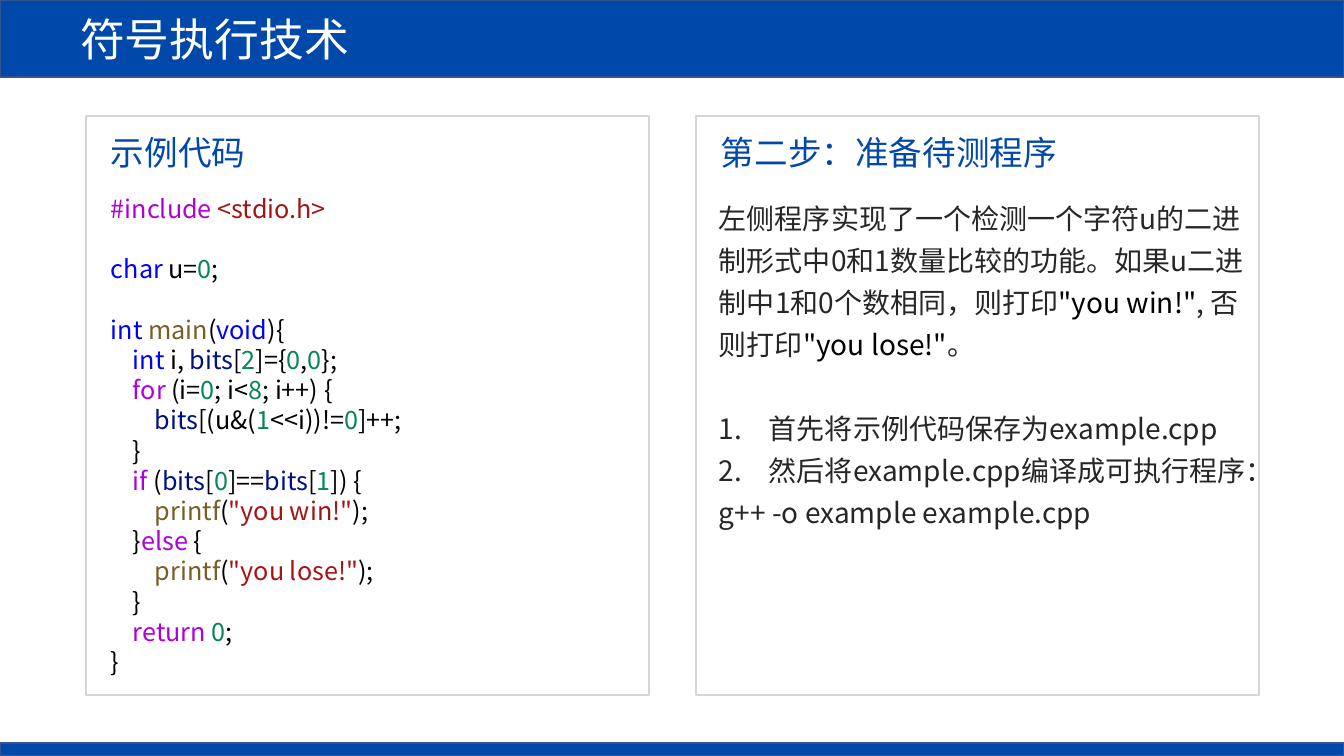
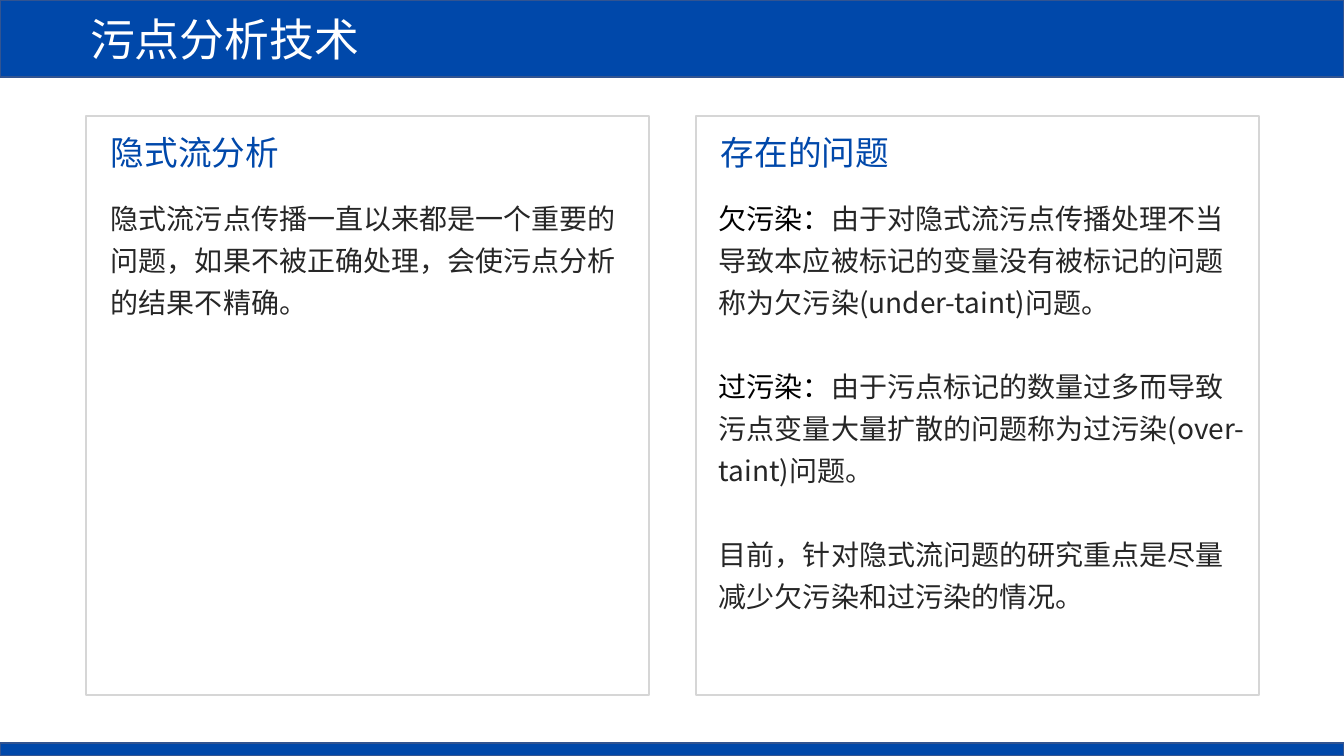
"""Build two slides on symbolic execution and taint analysis."""
from dataclasses import dataclass

from lxml import etree
from pptx import Presentation
from pptx import util as u
from pptx.dml.color import RGBColor
from pptx.enum import shapes, text
from pptx.oxml.ns import qn

PX = 914400 / 100.8
WIDTH, HEIGHT = 1344, 756
CARD_TOP, CARD_WIDTH, CARD_HEIGHT = 116, 563, 579
LEFT_CARD, RIGHT_CARD = 86, 696
BODY_TOP = 188


@dataclass(frozen=True)
class Theme:
    font: str = "Noto Sans CJK SC"
    blue: str = "0048AA"
    band_line: str = "325491"
    card_line: str = "D6D6D6"
    white: str = "FFFFFF"
    black: str = "000000"
    ink: str = "262626"
    control: str = "AF00DB"
    literal: str = "A31515"
    kind: str = "0000FF"
    number: str = "098658"
    function: str = "795E26"
    variable: str = "001080"
    title_size: int = 32
    heading_size: int = 24
    body_size: int = 20
    code_size: int = 18
    single: float = 1.2
    loose: float = 1.5


THEME = Theme()
TOKEN_GROUPS = {
    THEME.control: ("#include", "for", "if", "else", "return"),
    THEME.literal: ("<stdio.h>", '"you win!"', '"you lose!"'),
    THEME.kind: ("char", "int", "void"),
    THEME.number: ("0", "1", "2", "8"),
    THEME.function: ("main", "printf"),
    THEME.variable: ("bits",),
}
TOKEN_COLORS = {token: color for color, tokens in TOKEN_GROUPS.items() for token in tokens}

CODE = [
    (0, "#include |<stdio.h>", False),
    (0, "char| u=|0|;", True),
    (0, "int |main|(|void|){", True),
    (1, "int |i, |bits|[|2|]={|0|,|0|};", False),
    (1, "for| (i=|0|; i<|8|; i++) {", False),
    (2, "bits|[(u&(|1|<<i))!=|0|]++;", False),
    (1, "}", False),
    (1, "if| (|bits|[|0|]==|bits|[|1|]) {", False),
    (2, 'printf|(|"you win!"|);', False),
    (1, "}|else| {", False),
    (2, 'printf|(|"you lose!"|);', False),
    (1, "}", False),
    (1, "return |0|;", False),
    (0, "}", False),
]


def px(length):
    return u.Emu(round(length * PX))


class SlideBuilder:
    """Hold the theme and the current slide, and draw each kind of element."""

    def __init__(self, deck, theme):
        self.deck, self.theme, self.page = deck, theme, None

    def paint(self, shape, fill, line):
        if fill:
            shape.fill.solid()
            shape.fill.fore_color.rgb = RGBColor.from_string(fill)
        else:
            shape.fill.background()
        shape.line.color.rgb = RGBColor.from_string(line)
        shape.line.width = u.Pt(1)

    def rectangle(self, left, top, width, height, fill, line):
        shape = self.page.shapes.add_shape(
            shapes.MSO_SHAPE.RECTANGLE, px(left), px(top), px(width), px(height))
        shape.shadow.inherit = False
        self.paint(shape, fill, line)

    def start(self, title, indent):
        theme = self.theme
        self.page = self.deck.slides.add_slide(self.deck.slide_layouts[5])
        band = self.page.shapes.title
        band.left, band.top, band.width, band.height = px(0), px(0), px(WIDTH), px(77)
        self.paint(band, theme.blue, theme.band_line)
        frame = band.text_frame
        frame.auto_size = text.MSO_AUTO_SIZE.NONE
        frame.vertical_anchor = text.MSO_ANCHOR.MIDDLE
        frame.margin_left = px(indent)
        self.add_runs(frame.paragraphs[0], [(title, theme.white)], theme.title_size, theme.single)
        self.rectangle(0, 743, WIDTH, 13, theme.blue, theme.band_line)

    def add_runs(self, para, runs, size, spacing, gap=False):
        para.alignment = text.PP_ALIGN.LEFT
        para.line_spacing = u.Pt(size * spacing)
        para.space_before = u.Pt(size * spacing if gap else 0)
        for words, color in runs:
            span = para.add_run()
            span.text = words
            span.font.size = u.Pt(size)
            span.font.name = self.theme.font
            span.font.color.rgb = RGBColor.from_string(color)
            span.font._element.find(qn("a:latin")).addnext(
                etree.Element(qn("a:ea"), typeface=self.theme.font))

    def indent(self, para, left, hanging=0):
        properties = para._p.get_or_add_pPr()
        properties.set("marL", str(px(left)))
        properties.set("indent", str(px(-hanging)))
        return properties

    def text_box(self, left, top, width, height):
        box = self.page.shapes.add_textbox(px(left), px(top), px(width), px(height))
        box.text_frame.word_wrap = True
        return box.text_frame

    def paragraphs(self, frame, count):
        return [frame.paragraphs[0]] + [frame.add_paragraph() for _ in range(count - 1)]

    def card(self, left, heading):
        theme = self.theme
        self.rectangle(left, CARD_TOP, CARD_WIDTH, CARD_HEIGHT, None, theme.card_line)
        frame = self.text_box(left + 15, 127, 532, 50)
        self.add_runs(frame.paragraphs[0], [(heading, theme.blue)], theme.heading_size, theme.single)

    def body(self, left, width, height, entries):
        frame = self.text_box(left, BODY_TOP, width, height)
        for para, (runs, gap, numbered) in zip(self.paragraphs(frame, len(entries)), entries):
            self.add_runs(para, runs, self.theme.body_size, self.theme.loose, gap)
            if numbered:
                properties = self.indent(para, 50, 50)
                etree.SubElement(properties, qn("a:buFont"), typeface="+mj-lt")
                etree.SubElement(properties, qn("a:buAutoNum"), type="arabicPeriod")

    def code(self, left, width, height, lines):
        frame = self.text_box(left, BODY_TOP, width, height)
        for para, (level, line, gap) in zip(self.paragraphs(frame, len(lines)), lines):
            runs = [(token, TOKEN_COLORS.get(token.strip(), self.theme.black))
                    for token in line.split("|")]
            self.add_runs(para, runs, self.theme.code_size, self.theme.single, gap)
            self.indent(para, 22 * level)


def symbolic_execution(builder):
    ink, black = builder.theme.ink, builder.theme.black
    builder.start("符号执行技术", 80)
    builder.card(LEFT_CARD, "示例代码")
    builder.code(101, 532, 499, CODE)
    builder.card(RIGHT_CARD, "第二步：准备待测程序")
    builder.body(709, 549, 346, [
        ([("左侧程序实现了一个检测一个字符u的二进制形式中0和1数量比较的功能。"
           "如果u二进制中1和0个数相同，则打印", ink),
          ('"you win!"', black), (", 否则打印", ink),
          ('"you lose!"', black), ("。", ink)], False, False),
        ([("首先将示例代码保存为example.cpp", ink)], True, True),
        ([("然后将example.cpp编译成可执行程序：", ink)], False, True),
        ([("g++ -o example example.cpp", ink)], False, False),
    ])


def taint_analysis(builder):
    ink, black = builder.theme.ink, builder.theme.black
    builder.start("污点分析技术", 90)
    builder.card(LEFT_CARD, "隐式流分析")
    builder.body(101, 532, 133, [
        ([("隐式流污点传播一直以来都是一个重要的问题，如果不被正确处理，"
           "会使污点分析的结果不精确。", ink)], False, False),
    ])
    builder.card(RIGHT_CARD, "存在的问题")
    builder.body(709, 549, 430, [
        ([("欠污染：", black),
          ("由于对隐式流污点传播处理不当导致本应被标记的变量没有被标记的问题"
           "称为欠污染(under-taint)问题。", ink)], False, False),
        ([("过污染：", black),
          ("由于污点标记的数量过多而导致污点变量大量扩散的问题"
           "称为过污染(over-taint)问题。", ink)], True, False),
        ([("目前，针对隐式流问题的研究重点是尽量减少欠污染和过污染的情况。", ink)], True, False),
    ])


def main():
    deck = Presentation()
    deck.slide_width, deck.slide_height = px(WIDTH), px(HEIGHT)
    builder = SlideBuilder(deck, THEME)
    symbolic_execution(builder)
    taint_analysis(builder)
    deck.save("out.pptx")


if __name__ == "__main__":
    main()
